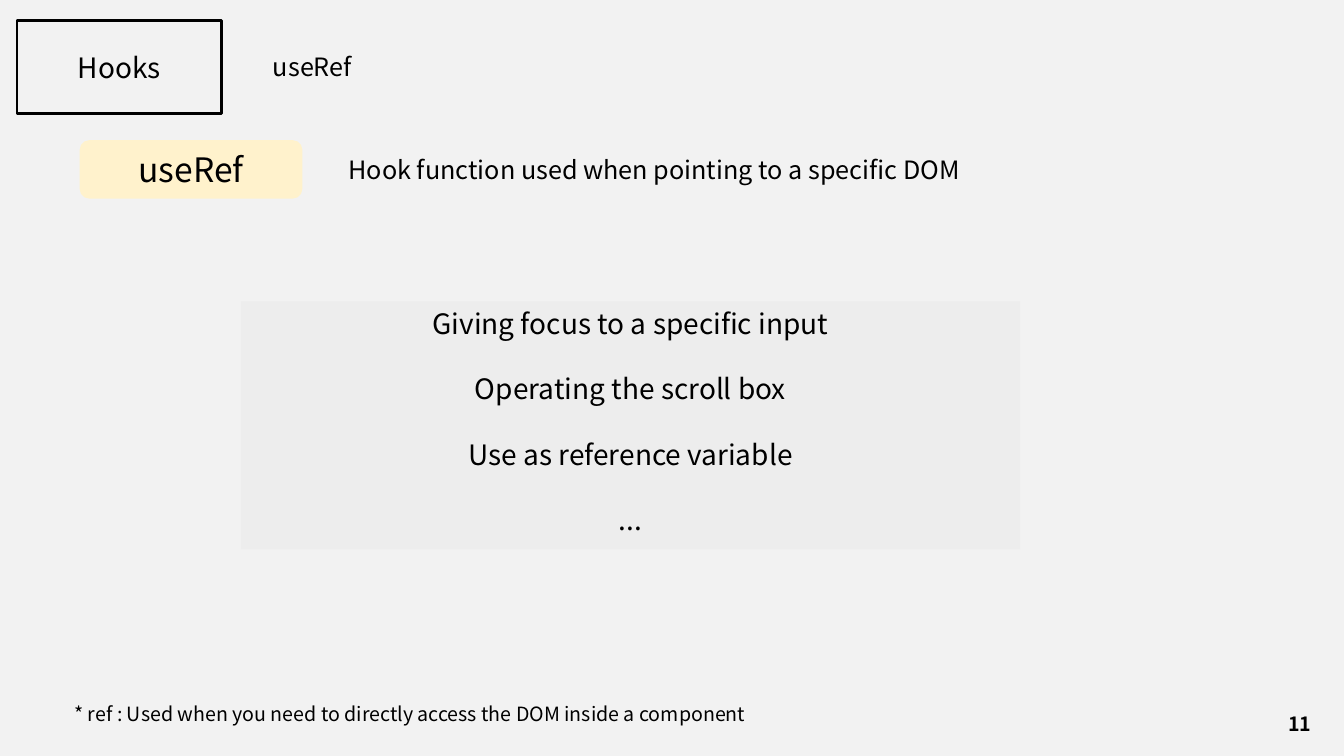
from pptx import Presentation
from pptx.dml.color import RGBColor
from pptx.enum.shapes import MSO_SHAPE
from pptx.enum.text import MSO_ANCHOR, PP_ALIGN
from pptx.util import Pt

FONT = "Noto Sans CJK KR"
BLACK, PAPER, CREAM, GREY = "000000", "F2F2F2", "FFF2CC", "EDEDED"
USES_GAP = 22.7

# text, (left, top, width, height), size
LEFT_TEXTS = [
    ("useRef", (187.9, 33.1, 262.1, 29.1), 18),
    ("Hook function used when pointing to a specific DOM",
     (241.9, 106.6, 556.6, 29.1), 18),
    ("* ref : Used when you need to directly access the DOM inside a component",
     (46.1, 497.5, 838.8, 24.2), 14),
]
SECTION = ("Hooks", (12.2, 14.4, 146.2, 67), 20)
TERM = ("useRef", (56.9, 100.1, 159.1, 41.8), 24)
USES_BOX = (172.1, 215.3, 556.6, 177.1)
USES = [
    "Giving focus to a specific input",
    "Operating the scroll box",
    "Use as reference variable",
    "...",
]
PAGE_NUMBER = ("11", (910.8, 502.6, 35.3, 28.8), 14)


def color(hex_code):
    """Turn a hex string into a colour."""
    return RGBColor.from_string(hex_code)


def write(shape, lines, size, align=PP_ALIGN.CENTER,
          anchor=MSO_ANCHOR.MIDDLE, gap=0, bold=False):
    """Write one paragraph per line, with a gap between paragraphs."""
    frame = shape.text_frame
    frame.word_wrap = True
    frame.vertical_anchor = anchor
    for i, line in enumerate(lines):
        paragraph = frame.paragraphs[0] if i == 0 else frame.add_paragraph()
        paragraph.alignment = align
        paragraph.space_before = Pt(gap if i else 0)
        run = paragraph.add_run()
        run.text = line
        run.font.name, run.font.size, run.font.bold = FONT, Pt(size), bold
        run.font.color.rgb = color(BLACK)


def add_text(slide, text, box, size, **style):
    """Add a text box holding one line."""
    write(slide.shapes.add_textbox(*map(Pt, box)), [text], size, **style)


def add_box(slide, kind, box, fill=None, line_width=0):
    """Add a flat preset shape, filled or outlined."""
    shape = slide.shapes.add_shape(kind, *map(Pt, box))
    shape.shadow.inherit = False
    if fill:
        shape.fill.solid()
        shape.fill.fore_color.rgb = color(fill)
    else:
        shape.fill.background()
    if line_width:
        shape.line.color.rgb = color(BLACK)
        shape.line.width = Pt(line_width)
    else:
        shape.line.fill.background()
    return shape


prs = Presentation()
prs.slide_width, prs.slide_height = Pt(960), Pt(540)
slide = prs.slides.add_slide(prs.slide_layouts[6])
slide.background.fill.solid()
slide.background.fill.fore_color.rgb = color(PAPER)

for text, box, size in LEFT_TEXTS:
    add_text(slide, text, box, size, align=PP_ALIGN.LEFT, anchor=MSO_ANCHOR.TOP)
add_text(slide, *PAGE_NUMBER, bold=True)

text, box, size = TERM
write(add_box(slide, MSO_SHAPE.ROUNDED_RECTANGLE, box, CREAM), [text], size)

uses = add_box(slide, MSO_SHAPE.RECTANGLE, USES_BOX, GREY)
write(uses, USES, 20, anchor=MSO_ANCHOR.TOP, gap=USES_GAP)

text, box, size = SECTION
write(add_box(slide, MSO_SHAPE.RECTANGLE, box, line_width=2), [text], size)

prs.save("out.pptx")
